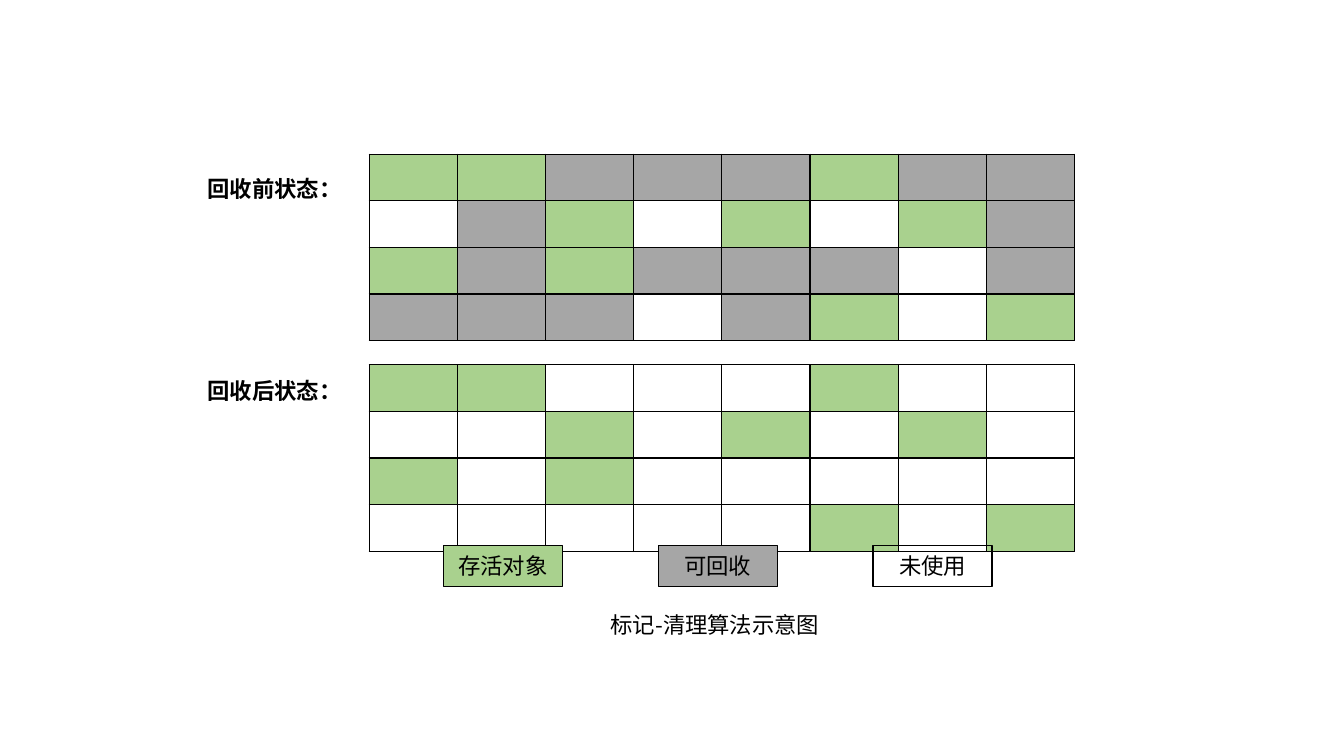
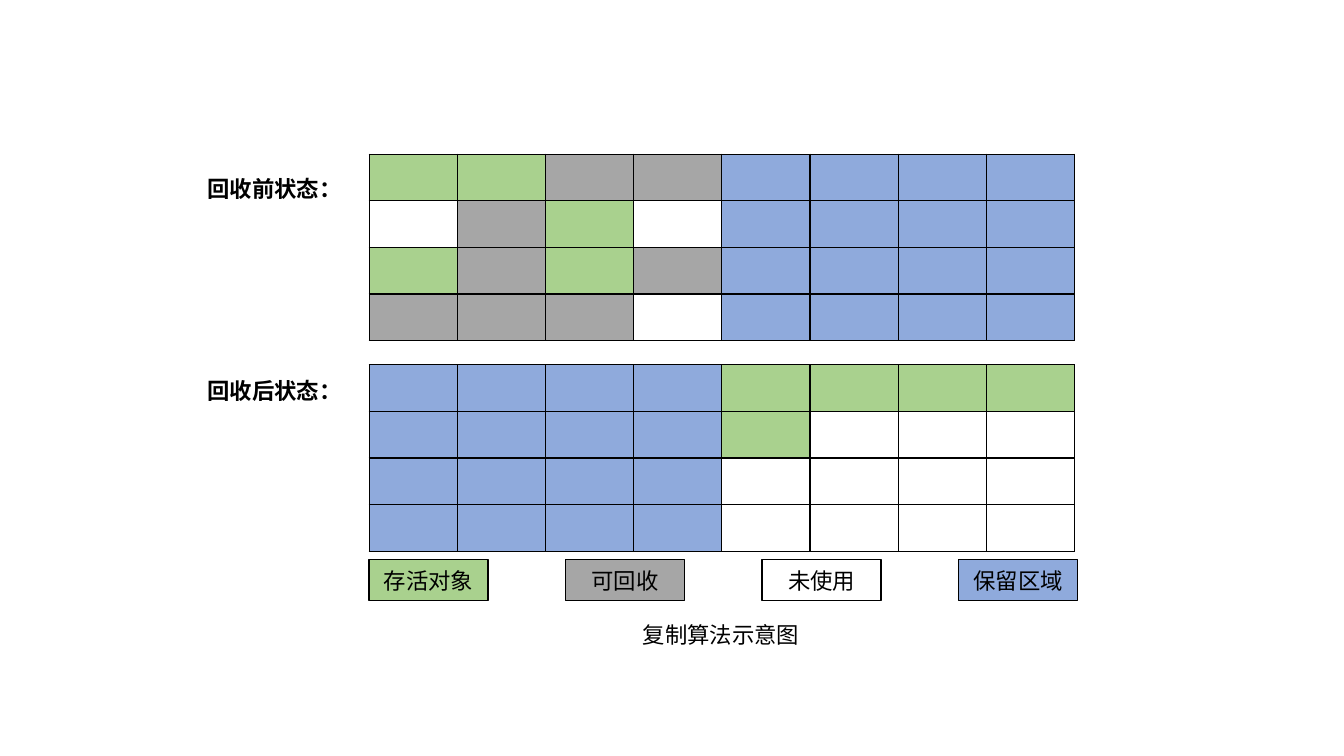
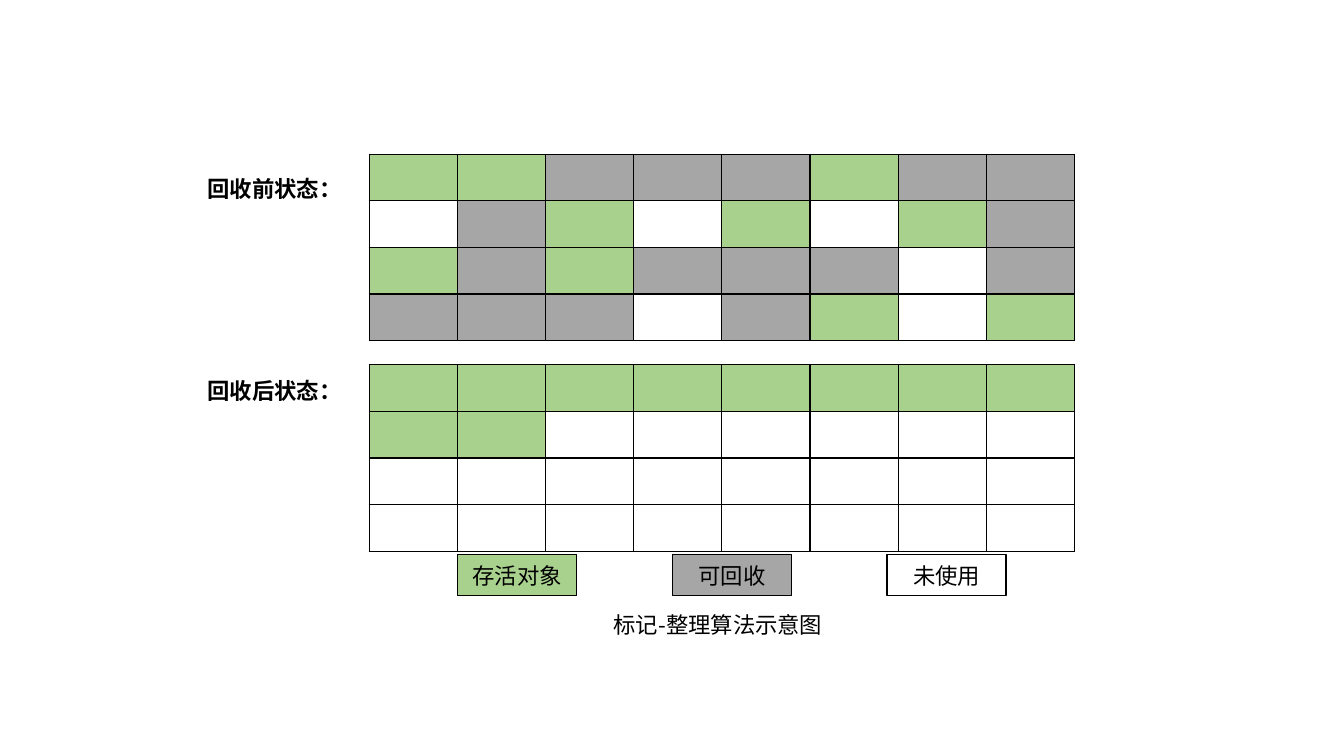
from pptx import Presentation
from pptx.dml.color import RGBColor
from pptx.enum.shapes import MSO_SHAPE
from pptx.enum.text import MSO_ANCHOR, MSO_AUTO_SIZE, PP_ALIGN
from pptx.oxml.ns import qn
from pptx.util import Pt
from lxml import etree

FONT = "Noto Sans CJK SC"
BLACK = RGBColor(0x00, 0x00, 0x00)
GREEN = RGBColor(0xA9, 0xD1, 0x8E)
GRAY = RGBColor(0xA6, 0xA6, 0xA6)
BLUE = RGBColor(0x8F, 0xAA, 0xDC)

# Cell states: L live, G garbage, R reserved, . unused
FILLS = {"L": GREEN, "G": GRAY, "R": BLUE, ".": None}
NAMES = {"L": "存活对象", "G": "可回收", "R": "保留区域", ".": "未使用"}
HEAP = ["LLGGGLGG", ".GL.L.LG", "LGLGGG.G", "GGG.GL.L"]

TABLE_LEFT, CELL_W, CELL_H = 263.7, 63, 33.3
LEGEND_W, LEGEND_H = 85, 29.6
LABEL_LEFT, TEXT_H = 141.1, 26.6
# Text of the label, its top and the top of its table
STATES = [("回收前状态：", 121.7, 110.2), ("回收后状态：", 265.7, 260.6)]


def sweep(heap):
    """Free the garbage cells in place."""
    return [row.replace("G", ".") for row in heap]


def compact(heap):
    """Move the live cells to the front and free the rest."""
    width = len(heap[0])
    cells = ("L" * "".join(heap).count("L")).ljust(width * len(heap), ".")
    return [cells[i:i + width] for i in range(0, len(cells), width)]


def add_run(p, text, bold=False):
    """Add a run in the common text style."""
    r = p.add_run()
    r.text = text
    r.font.size = Pt(16)
    r.font.bold = bold
    r.font.name = FONT
    r.font.color.rgb = BLACK
    ea = etree.SubElement(r.font._element, qn("a:ea"))
    ea.set("typeface", FONT)


def set_fill(fill, color):
    """Fill with a colour, or leave unfilled for None."""
    if color is None:
        fill.background()
    else:
        fill.solid()
        fill.fore_color.rgb = color


def set_borders(cell):
    """Draw black one-point borders around a cell."""
    tcPr = cell._tc.get_or_add_tcPr()
    for i, side in enumerate("LRTB"):
        ln = etree.Element(qn(f"a:ln{side}"), w=str(Pt(1)))
        solid = etree.SubElement(ln, qn("a:solidFill"))
        etree.SubElement(solid, qn("a:srgbClr"), val=str(BLACK))
        tcPr.insert(i, ln)


def add_heap(s, top, heap):
    """Add a table of coloured memory cells."""
    rows, cols = len(heap), len(heap[0])
    table = s.shapes.add_table(rows, cols, Pt(TABLE_LEFT), Pt(top),
                               Pt(cols * CELL_W), Pt(rows * CELL_H)).table
    table.first_row = table.horz_banding = False
    for i, row in enumerate(heap):
        for j, state in enumerate(row):
            cell = table.cell(i, j)
            set_fill(cell.fill, FILLS[state])
            set_borders(cell)


def add_text(s, left, top, width, text, bold=False):
    """Add a one-line text box."""
    tf = s.shapes.add_textbox(Pt(left), Pt(top), Pt(width), Pt(TEXT_H)).text_frame
    tf.word_wrap = False
    tf.auto_size = MSO_AUTO_SIZE.SHAPE_TO_FIT_TEXT
    add_run(tf.paragraphs[0], text, bold)


def add_legend(s, left, top, step, states):
    """Add a row of evenly spaced legend boxes."""
    for i, state in enumerate(states):
        sp = s.shapes.add_shape(MSO_SHAPE.RECTANGLE, Pt(left + i * step), Pt(top),
                                Pt(LEGEND_W), Pt(LEGEND_H))
        sp.shadow.inherit = False
        set_fill(sp.fill, FILLS[state])
        sp.line.color.rgb = BLACK
        sp.line.width = Pt(1)
        tf = sp.text_frame
        tf.vertical_anchor = MSO_ANCHOR.MIDDLE
        p = tf.paragraphs[0]
        p.alignment = PP_ALIGN.CENTER
        add_run(p, NAMES[state])


def add_algorithm(prs, before, after, legend, caption):
    """Add a slide with the heap before and after collection."""
    s = prs.slides.add_slide(prs.slide_layouts[6])
    for (label, label_top, table_top), heap in zip(STATES, (before, after)):
        add_heap(s, table_top, heap)
        add_text(s, LABEL_LEFT, label_top, 112.3, label, bold=True)
    add_legend(s, *legend)
    add_text(s, *caption)


def main():
    """Build the three garbage collection slides."""
    prs = Presentation()
    prs.slide_width, prs.slide_height = Pt(960), Pt(540)

    add_algorithm(prs, HEAP, sweep(HEAP), (316.8, 389.5, 153.4, "LG."),
                  (429.1, 432.7, 167.8, "标记-清理算法示意图"))

    half = [row[:4] for row in HEAP]
    add_algorithm(prs, [row + "RRRR" for row in half],
                  ["RRRR" + row for row in compact(half)],
                  (263.5, 399.6, 140.4, "LG.R"),
                  (452.2, 439.9, 127.4, "复制算法示意图"))

    add_algorithm(prs, HEAP, compact(HEAP), (326.9, 396, 153.4, "LG."),
                  (431.3, 432.7, 167.8, "标记-整理算法示意图"))

    prs.save("out.pptx")


main()
